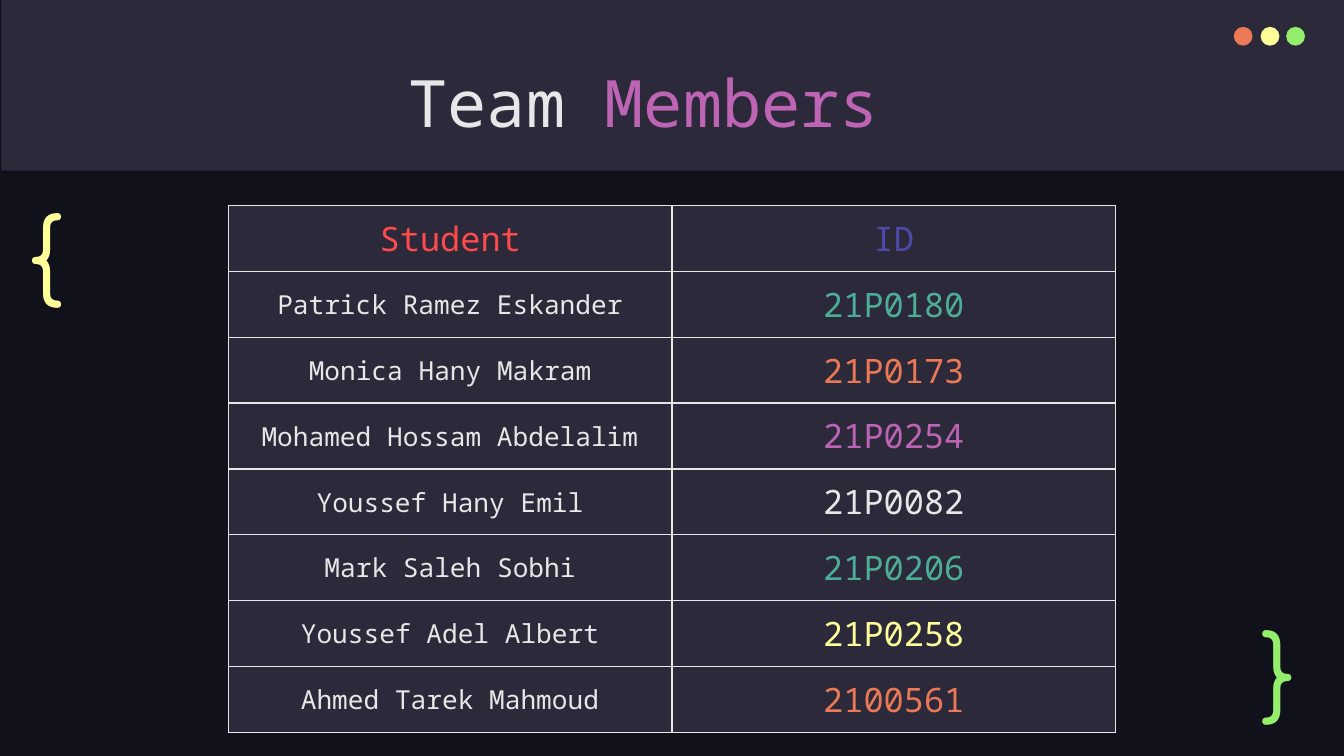
from lxml.etree import SubElement
from pptx import Presentation
from pptx.dml.color import RGBColor
from pptx.enum.shapes import MSO_SHAPE
from pptx.enum.text import MSO_ANCHOR, PP_ALIGN
from pptx.oxml.ns import qn
from pptx.util import Inches, Pt

NIGHT = RGBColor(0x10, 0x11, 0x1A)
PANEL = RGBColor(0x2C, 0x29, 0x3A)
WHITE = RGBColor(0xE7, 0xE7, 0xE7)
RED = RGBColor(0xFD, 0x4A, 0x4A)
INDIGO = RGBColor(0x4E, 0x48, 0xAB)
TEAL = RGBColor(0x4C, 0xAE, 0x97)
ORANGE = RGBColor(0xEC, 0x79, 0x55)
PURPLE = RGBColor(0xBD, 0x64, 0xB5)
YELLOW = RGBColor(0xFF, 0xFF, 0x99)
GREEN = RGBColor(0x94, 0xEE, 0x6B)

MONO = "Noto Sans Mono"
ROUNDED = "Comfortaa"

MEMBERS = [
    ("Patrick Ramez Eskander", "21P0180", TEAL),
    ("Monica Hany Makram", "21P0173", ORANGE),
    ("Mohamed Hossam Abdelalim", "21P0254", PURPLE),
    ("Youssef Hany Emil", "21P0082", WHITE),
    ("Mark Saleh Sobhi", "21P0206", TEAL),
    ("Youssef Adel Albert", "21P0258", YELLOW),
    ("Ahmed Tarek Mahmoud", "2100561", ORANGE),
]


def style_font(font, name, size, color):
    font.name = name
    font.size = Pt(size)
    font.color.rgb = color


def add_filled_shape(slide, kind, left, top, width, height, color):
    shape = slide.shapes.add_shape(
        kind, Inches(left), Inches(top), Inches(width), Inches(height))
    shape.shadow.inherit = False
    shape.fill.solid()
    shape.fill.fore_color.rgb = color
    shape.line.fill.background()


def add_text(slide, left, top, width, height, pieces, font_name, size):
    box = slide.shapes.add_textbox(
        Inches(left), Inches(top), Inches(width), Inches(height))
    frame = box.text_frame
    frame.word_wrap = True
    frame.margin_left = frame.margin_right = Inches(0.1)
    frame.margin_top = frame.margin_bottom = Inches(0.1)
    for words, color in pieces:
        run = frame.paragraphs[0].add_run()
        run.text = words
        style_font(run.font, font_name, size, color)


def add_borders(cell, color, width):
    properties = cell._tc.get_or_add_tcPr()
    for position, side in enumerate(("a:lnL", "a:lnR", "a:lnT", "a:lnB")):
        border = SubElement(properties, qn(side), w=str(Pt(width)))
        fill = SubElement(border, qn("a:solidFill"))
        SubElement(fill, qn("a:srgbClr"), val=str(color))
        properties.insert(position, border)


def fill_cell(cell, words, size, color):
    cell.fill.solid()
    cell.fill.fore_color.rgb = PANEL
    cell.vertical_anchor = MSO_ANCHOR.MIDDLE
    cell.margin_left = cell.margin_right = Inches(0.1)
    cell.margin_top = cell.margin_bottom = Inches(0.07)
    cell.text = words
    paragraph = cell.text_frame.paragraphs[0]
    paragraph.alignment = PP_ALIGN.CENTER
    style_font(paragraph.runs[0].font, MONO, size, color)
    add_borders(cell, WHITE, 0.75)


def add_member_table(slide, left, top, column_width, row_height):
    rows = [(("Student", 18, RED), ("ID", 18, INDIGO))]
    rows += [((name, 14, WHITE), (student_id, 18, color))
             for name, student_id, color in MEMBERS]
    table = slide.shapes.add_table(
        len(rows), 2, Inches(left), Inches(top),
        Inches(2 * column_width), Inches(len(rows) * row_height)).table
    for column in table.columns:
        column.width = Inches(column_width)
    for row, contents in zip(table.rows, rows):
        row.height = Inches(row_height)
        for cell, content in zip(row.cells, contents):
            fill_cell(cell, *content)


def main():
    """Build the team members slide."""
    presentation = Presentation()
    presentation.slide_width = Inches(10)
    presentation.slide_height = Inches(10) * 9 // 16
    slide = presentation.slides.add_slide(presentation.slide_layouts[6])
    slide.background.fill.solid()
    slide.background.fill.fore_color.rgb = NIGHT

    add_filled_shape(slide, MSO_SHAPE.RECTANGLE, 0.01, 0, 10, 1.27, PANEL)
    for left, color in ((9.18, ORANGE), (9.38, YELLOW), (9.57, GREEN)):
        add_filled_shape(slide, MSO_SHAPE.OVAL, left, 0.2, 0.14, 0.14, color)
    add_text(slide, 2.94, 0.36, 4.11, 0.63,
             [("Team ", WHITE), ("Members", PURPLE)], MONO, 35)
    add_member_table(slide, 1.7, 1.53, 3.3, 0.49)
    add_text(slide, 0.11, 1.34, 0.77, 0.95, [("{", YELLOW)], ROUNDED, 50)
    add_text(slide, 9.29, 4.44, 0.57, 0.83, [("}", GREEN)], ROUNDED, 50)
    presentation.save("out.pptx")


if __name__ == "__main__":
    main()
